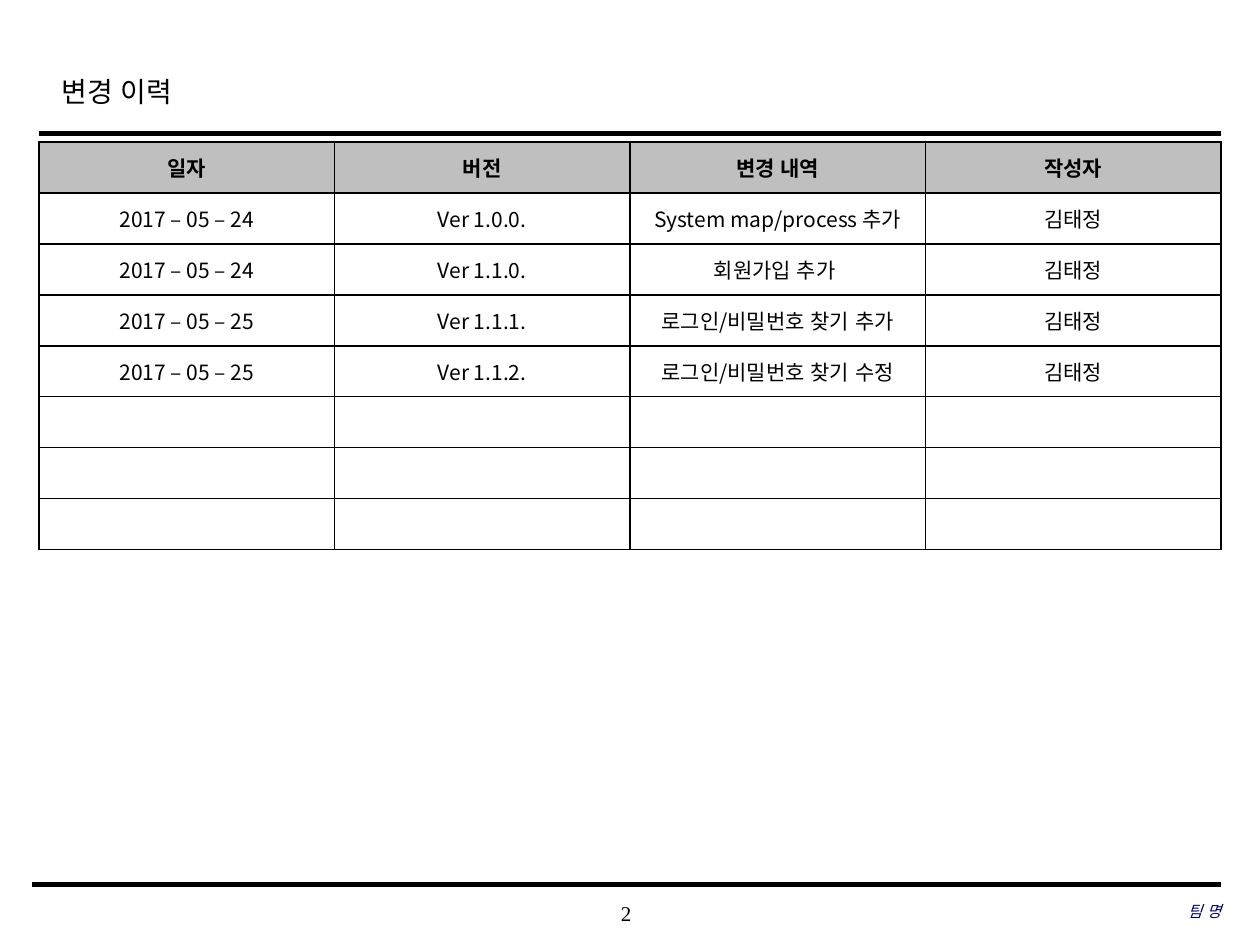
from lxml.etree import SubElement
from pptx import Presentation
from pptx.dml.color import RGBColor
from pptx.enum.lang import MSO_LANGUAGE_ID as Language
from pptx.enum.shapes import MSO_CONNECTOR as Connector
from pptx.enum.text import MSO_ANCHOR as Anchor, PP_ALIGN as Align
from pptx.oxml.ns import qn
from pptx.util import Inches, Pt

COLORS = {"ink": "000000", "header": "BFBFBF", "cell": "FFFFFF", "team": "000066"}
SERIF, SANS = "Times New Roman", "Noto Sans CJK KR"
WIDTH, HEIGHT = 10, 7.5
HISTORY = [
    ("일자", "버전", "변경 내역", "작성자"),
    ("2017 – 05 – 24", "Ver 1.0.0.", "System map/process 추가", "김태정"),
    ("2017 – 05 – 24", "Ver 1.1.0.", "회원가입 추가 ", "김태정"),
    ("2017 – 05 – 25", "Ver 1.1.1.", "로그인/비밀번호 찾기 추가", "김태정"),
    ("2017 – 05 – 25", "Ver 1.1.2.", "로그인/비밀번호 찾기 수정", "김태정"),
] + [("",) * 4] * 3


def rgb(name):
    return RGBColor.from_string(COLORS[name])


def style(para, size, face, color="ink", align=Align.LEFT, bold=False, italic=False):
    para.alignment = align
    font = para.font
    font.size, font.name, font.bold, font.italic = Pt(size), face, bold, italic
    font.language_id = Language.KOREAN
    font.color.rgb = rgb(color)
    defaults = para._p.pPr.find(qn("a:defRPr"))
    latin = defaults.find(qn("a:latin"))
    east_asian = SubElement(defaults, qn("a:ea"), typeface=SANS)
    latin.addnext(east_asian)


def add_text(page, box, text, inset=0, anchor=Anchor.MIDDLE, spacing=None, **look):
    frame = page.shapes.add_textbox(*map(Inches, box)).text_frame
    frame.word_wrap = True
    frame.vertical_anchor = anchor
    frame.margin_left = frame.margin_right = Inches(inset)
    frame.margin_top = frame.margin_bottom = Inches(inset / 2)
    para = frame.paragraphs[0]
    para.text = text
    para.line_spacing = spacing
    style(para, **look)


def add_rule(page, left, right, y, weight):
    ends = map(Inches, (left, y, right, y))
    rule = page.shapes.add_connector(Connector.STRAIGHT, *ends)
    rule.line.color.rgb = rgb("ink")
    rule.line.width = Pt(weight)
    SubElement(rule._element.spPr, qn("a:effectLst"))


def add_borders(cell):
    props = cell._tc.get_or_add_tcPr()
    for index, side in enumerate(("lnL", "lnR", "lnT", "lnB")):
        line = props.makeelement(qn(f"a:{side}"), {"w": str(Pt(1))})
        fill = SubElement(line, qn("a:solidFill"))
        SubElement(fill, qn("a:srgbClr"), val=COLORS["ink"])
        props.insert(index, line)


def add_header(page, box):
    left, top, width, height = box
    title = (left + 0.08, top, width * 0.8, height * 0.88)
    add_text(page, title, "변경 이력", inset=0.1, anchor=Anchor.TOP,
             spacing=1.2, size=16, face=SERIF)
    add_rule(page, left, left + width, top + height, 2.5)


def add_history(page, box, rows):
    shape = page.shapes.add_table(len(rows), len(rows[0]), *map(Inches, box))
    table = shape.table
    table.horz_banding = False
    for column in table.columns:
        column.width = Inches(box[2] / len(rows[0]))
    for number, (row, texts) in enumerate(zip(table.rows, rows)):
        row.height = Inches(box[3] / len(rows))
        heading = number == 0
        for cell, text in zip(row.cells, texts):
            cell.vertical_anchor = Anchor.MIDDLE
            cell.margin_top = cell.margin_bottom = 0
            cell.fill.solid()
            cell.fill.fore_color.rgb = rgb("header" if heading else "cell")
            add_borders(cell)
            para = cell.text_frame.paragraphs[0]
            if text:
                para.text = text
            style(para, 12, SANS, align=Align.CENTER, bold=heading)


def add_footer(page, box):
    left, top, width, height = box
    number_width, team_width = width * 0.22, width * 0.32
    text_height = height - 0.06
    add_rule(page, left, left + width, top, 3)
    add_text(page, (3.93, top + 0.06, number_width, text_height), "2",
             size=12, face=SERIF, align=Align.CENTER)
    add_text(page, (left + width - team_width, top + 0.05, team_width, text_height),
             "팀 명", size=9, face=SERIF, color="team", align=Align.RIGHT, italic=True)


deck = Presentation()
deck.slide_width, deck.slide_height = Inches(WIDTH), Inches(HEIGHT)
page = deck.slides.add_slide(deck.slide_layouts[6])
add_header(page, (0.31, 0.49, 9.38, 0.57))
add_history(page, (0.31, HEIGHT * 0.15, 9.38, 3.24), HISTORY)
add_footer(page, (0.25, 7.02, 9.44, 0.39))
deck.save("out.pptx")
